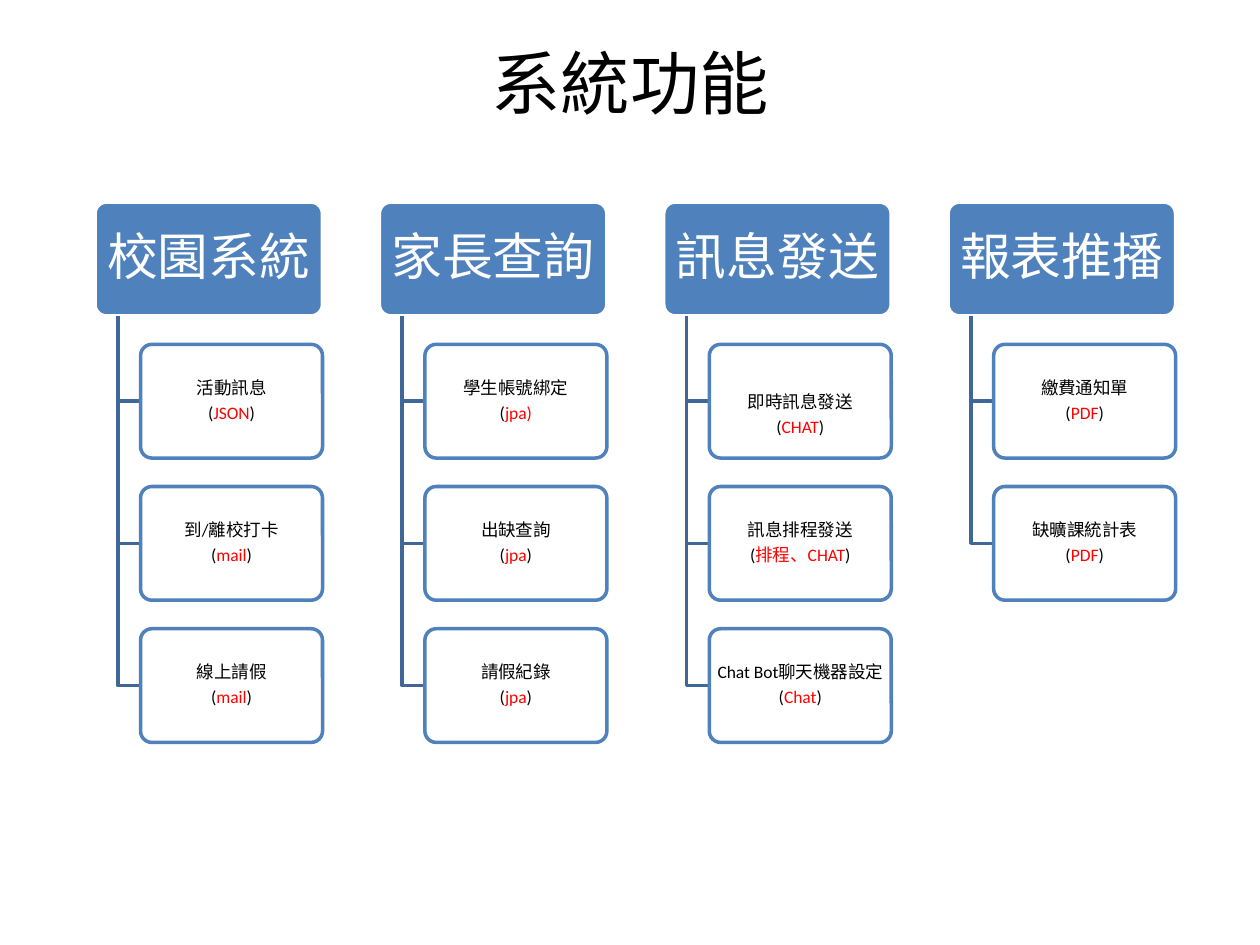
from lxml import etree
from pptx import Presentation
from pptx.dml.color import RGBColor
from pptx.enum.shapes import MSO_SHAPE
from pptx.enum.text import MSO_ANCHOR, PP_ALIGN
from pptx.oxml.ns import qn
from pptx.util import Pt

ROUND_RECT = MSO_SHAPE.ROUNDED_RECTANGLE
MIDDLE = MSO_ANCHOR.MIDDLE
CENTER = PP_ALIGN.CENTER

BLACK = RGBColor(0x00, 0x00, 0x00)
WHITE = RGBColor(0xFF, 0xFF, 0xFF)
RED = RGBColor(0xFF, 0x00, 0x00)
BLUE = RGBColor(0x4F, 0x81, 0xBD)
DARK_BLUE = RGBColor(0x3F, 0x67, 0x97)
FONT = "Calibri"

BOX_W, BOX_H = 130, 65
COLUMN_GAP = BOX_W / 4
ROW_GAP = BOX_H / 4
TRUNK_INDENT = BOX_W / 10
ITEM_INDENT = BOX_W / 5

# Each item: name, red text, closing text, extra space above the text
COLUMNS = [
    ("校園系統", [("活動訊息", "JSON", ")", 0),
              ("到/離校打卡", "mail", ")", 0),
              ("線上請假", "mail", ")", 0)]),
    ("家長查詢", [("學生帳號綁定", "jpa)", "", 0),
              ("出缺查詢", "jpa", ")", 0),
              ("請假紀錄", "jpa", ")", 0)]),
    ("訊息發送", [("即時訊息發送", "CHAT", ")", 16),
              ("訊息排程發送", "排程、CHAT", ")", 0),
              ("Chat Bot聊天機器設定", "Chat", ")", 0)]),
    ("報表推播", [("繳費通知單", "PDF", ")", 0),
              ("缺曠課統計表", "PDF", ")", 0)]),
]


def add_title(slide, x, y, w, h):
    sp = slide.shapes.title
    sp.left, sp.top, sp.width, sp.height = Pt(x), Pt(y), Pt(w), Pt(h)
    tf = sp.text_frame
    tf.text = "系統功能"
    tf.vertical_anchor = MIDDLE
    add_format(tf.paragraphs[0], 39.6, BLACK)


def add_format(p, size, color):
    p.alignment = CENTER
    p.font.name = FONT
    p.font.size = Pt(size)
    p.font.color.rgb = color


def add_box(slide, x, y, w, h, fill, line, inset_x, inset_y):
    sp = slide.shapes.add_shape(ROUND_RECT, Pt(x), Pt(y), Pt(w), Pt(h))
    sp.adjustments[0] = 0.1
    sp.shadow.inherit = False
    sp.fill.solid()
    sp.fill.fore_color.rgb = fill
    sp.line.color.rgb = line
    sp.line.width = Pt(2)
    tf = sp.text_frame
    tf.word_wrap = True
    tf.vertical_anchor = MIDDLE
    tf.margin_left = tf.margin_right = Pt(inset_x)
    tf.margin_top = tf.margin_bottom = Pt(inset_y)
    return sp


def add_line(p, runs, size):
    """Fill a paragraph with (text, colour) runs."""
    add_format(p, size, runs[0][1])
    p.line_spacing = 0.9
    p.space_after = Pt(size * 0.35)
    for text, color in runs:
        r = p.add_run()
        r.text = text
        r.font.color.rgb = color


def add_header(slide, x, y, text):
    sp = add_box(slide, x, y, BOX_W, BOX_H, BLUE, WHITE, 4, 3)
    add_line(sp.text_frame.paragraphs[0], [(text, WHITE)], 29)


def add_elbow(slide, x, top, right, bottom):
    builder = slide.shapes.build_freeform(Pt(x), Pt(top))
    builder.add_line_segments(
        [(Pt(x), Pt(bottom)), (Pt(right), Pt(bottom))], close=False)
    sp = builder.convert_to_shape()
    sp.shadow.inherit = False
    sp.fill.background()
    sp.line.color.rgb = DARK_BLUE
    sp.line.width = Pt(2)


def add_item(slide, x, y, w, item):
    name, red_text, closing, extra_top = item
    sp = add_box(slide, x, y, w, BOX_H, WHITE, BLUE, 1.5, 1)
    color = sp.fill._xPr.find(qn("a:solidFill"))[0]
    etree.SubElement(color, qn("a:alpha"), val="90000")
    tf = sp.text_frame
    tf.margin_top = Pt(1 + extra_top)
    add_line(tf.paragraphs[0], [(name, BLACK)], 10)
    runs = [("(", BLACK), (red_text, RED)]
    if closing:
        runs.append((closing, BLACK))
    add_line(tf.add_paragraph(), runs, 10)


def add_column(slide, x, y, header, items):
    add_header(slide, x, y, header)
    item_x = x + ITEM_INDENT
    for row, item in enumerate(items, 1):
        item_y = y + row * (BOX_H + ROW_GAP)
        add_elbow(slide, x + TRUNK_INDENT, y + BOX_H, item_x,
                  item_y + BOX_H / 2)
        add_item(slide, item_x, item_y, BOX_W - ITEM_INDENT, item)


def main():
    prs = Presentation()
    prs.slide_width, prs.slide_height = Pt(720), Pt(540)
    slide = prs.slides.add_slide(prs.slide_layouts[5])
    add_title(slide, 36, 21.6, 648, 50)
    for i, (header, items) in enumerate(COLUMNS):
        add_column(slide, 54.3 + i * (BOX_W + COLUMN_GAP), 115.5, header, items)
    prs.save("out.pptx")


if __name__ == "__main__":
    main()
